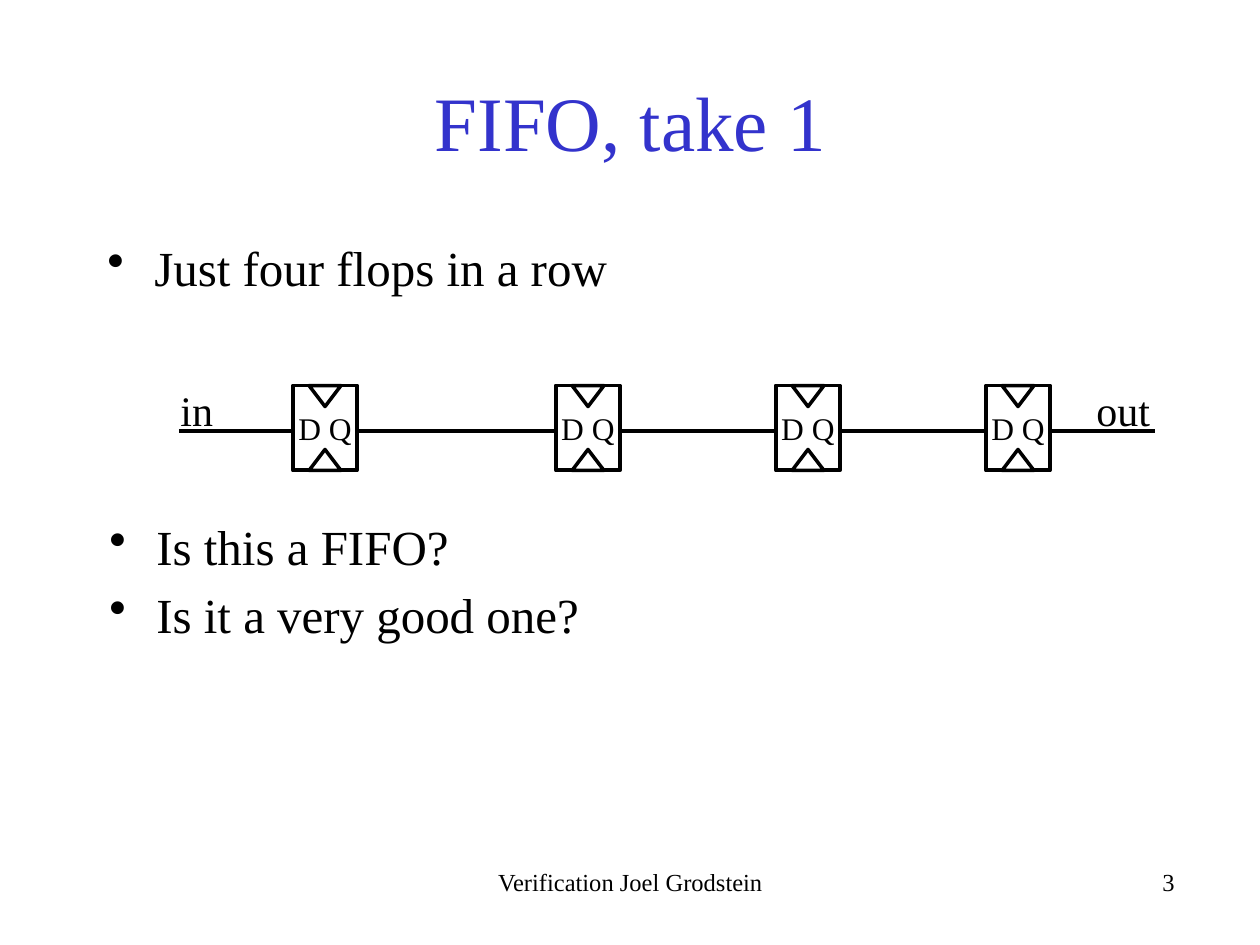
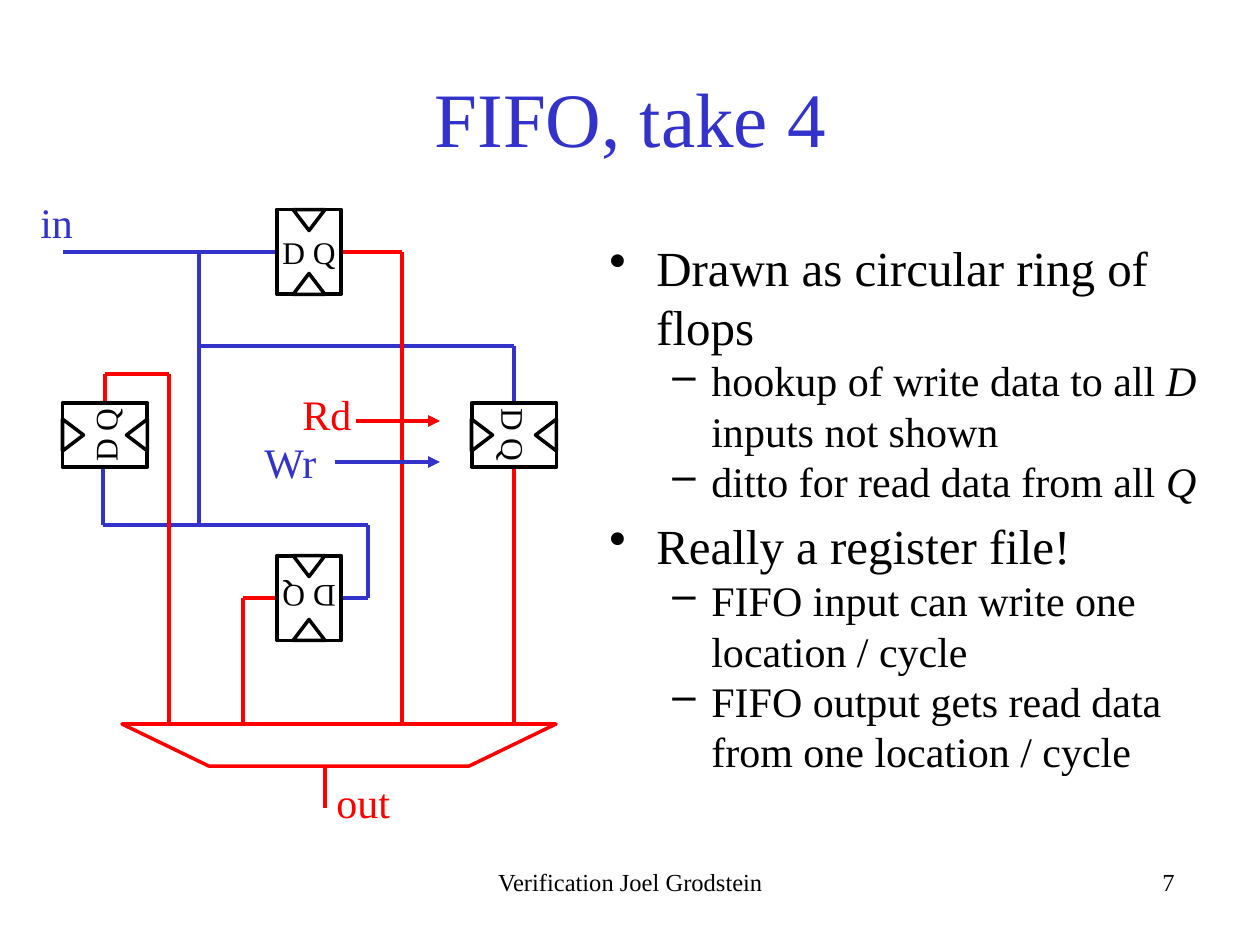
from dataclasses import dataclass
from itertools import pairwise
from math import cos, radians, sin

from lxml import etree
from pptx import Presentation
from pptx.dml.color import RGBColor
from pptx.enum.shapes import MSO_CONNECTOR, MSO_SHAPE
from pptx.enum.text import MSO_ANCHOR, PP_ALIGN
from pptx.oxml.ns import qn
from pptx.util import Emu, Pt

LEFT, MID, RIGHT = PP_ALIGN.LEFT, PP_ALIGN.CENTER, PP_ALIGN.RIGHT
TOP, CENTRE = MSO_ANCHOR.TOP, MSO_ANCHOR.MIDDLE
RECT, TRI = MSO_SHAPE.RECTANGLE, MSO_SHAPE.ISOSCELES_TRIANGLE
MUX = MSO_SHAPE.FLOWCHART_MANUAL_OPERATION
STRAIGHT = MSO_CONNECTOR.STRAIGHT
DPI = 126


@dataclass(frozen=True)
class Theme:
    font: str = "Times New Roman"
    ink: str = "000000"
    paper: str = "FFFFFF"
    blue: str = "3333CC"
    red: str = "FF0000"
    title: int = 44
    label: int = 24
    pin: int = 18
    foot: int = 14
    wire: float = 2.25
    edge: float = 2


T = Theme()
# Bullet levels: mark, type size, left margin, hanging indent, space before
LEVELS = (("•", 28, 47, 47, 5.6), ("–", 24, 102, 39, 0))
FOOTER = "Verification Joel Grodstein"
FLOP = (64, 85)
NOTCH = (32, 21)

# Text between asterisks is italic; the number before a line is its level.
SLIDES = [
    dict(
        title="FIFO, take 1", top=42, number="3",
        lists=[
            ((95, 231, 1071, 95), [(0, "Just four flops in a row")]),
            ((97, 510, 639, 171),
             [(0, "Is this a FIFO?"), (0, "Is it a very good one?")]),
        ],
        wires=[(T.ink, [(179, 431), (1155, 431)])],
        flops=[(x, 428, 0) for x in (325, 588, 808, 1018)],
        labels=[("in", T.ink, (168, 378, 84, 63)),
                ("out", T.ink, (1084, 378, 84, 63))],
    ),
    dict(
        title="FIFO, take 4", top=38, number="7",
        lists=[
            ((597, 231, 620, 420), [
                (0, "Drawn as circular ring of flops"),
                (1, "hookup of write data to all *D* inputs not shown"),
                (1, "ditto for read data from all *Q*"),
                (0, "Really a register file!"),
                (1, "FIFO input can write one location / cycle"),
                (1, "FIFO output gets read data from one location / cycle"),
            ]),
        ],
        wires=[
            (T.blue, [(63, 252), (277, 252)]),
            (T.blue, [(199, 252), (199, 525)]),
            (T.blue, [(103, 467), (103, 525), (368, 525), (368, 598), (341, 598)]),
            (T.blue, [(199, 346), (514, 346), (514, 403)]),
            (T.red, [(514, 467), (514, 724)]),
            (T.red, [(277, 598), (243, 598), (243, 724)]),
            (T.red, [(105, 403), (105, 374), (169, 374), (169, 724)]),
            (T.red, [(341, 252), (402, 252), (402, 724)]),
            (T.red, [(325, 766), (325, 808)]),
        ],
        flops=[(309, 252, 0), (514, 435, 90), (309, 598, 180), (105, 435, 270)],
        arrows=[(T.red, [(356, 421), (440, 421)]),
                (T.blue, [(335, 462), (440, 462)])],
        mux=(122, 724, 434, 42),
        labels=[("Rd", T.red, (290, 382, 101, 63)),
                ("Wr", T.blue, (252, 430, 105, 63)),
                ("in", T.blue, (28, 190, 76, 63)),
                ("out", T.red, (324, 770, 97, 63))],
    ),
]


def px(n):
    return Emu(round(n * 914400 / DPI))


def rgb(code):
    return RGBColor.from_string(code)


def bullet(para, level):
    mark, _, margin, hang, space = LEVELS[level]
    para.space_before = Pt(space)
    props = para._p.get_or_add_pPr()
    props.set("marL", str(px(margin)))
    props.set("indent", str(-px(hang)))
    etree.SubElement(props, qn("a:buChar"), char=mark)


def write(frame, text, size=T.label, color=T.ink, align=LEFT, anchor=TOP,
          inset=None, level=None, more=False):
    """Fill the frame, or add one paragraph to it when more is set."""
    frame.word_wrap = True
    frame.vertical_anchor = anchor
    if inset is not None:
        frame.margin_left = frame.margin_right = px(inset)
        frame.margin_top = frame.margin_bottom = px(inset)
    para = frame.add_paragraph() if more else frame.paragraphs[0]
    para.alignment = align
    if level is not None:
        bullet(para, level)
        size = LEVELS[level][1]
    for i, part in enumerate(text.split("*")):
        if part:
            run = para.add_run()
            run.text = part
            font = run.font
            font.name, font.size, font.italic = T.font, Pt(size), i % 2 == 1
            font.color.rgb = rgb(color)


def box(slide, spot):
    return slide.shapes.add_textbox(*map(px, spot)).text_frame


def shape(slide, kind, spot, color=T.ink, width=T.edge, turn=0):
    item = slide.shapes.add_shape(kind, *map(px, spot))
    item.shadow.inherit = False
    item.fill.solid()
    item.fill.fore_color.rgb = rgb(T.paper)
    item.line.color.rgb = rgb(color)
    item.line.width = Pt(width)
    item.rotation = turn
    return item


def around(x, y, size):
    """Give the place of a part of this size centred on x, y."""
    w, h = size
    return x - w / 2, y - h / 2, w, h


def flop(slide, x, y, turn):
    body = shape(slide, RECT, around(x, y, FLOP), width=T.wire, turn=turn)
    write(body.text_frame, "D Q", size=T.pin, align=MID, anchor=CENTRE, inset=0)
    reach = (FLOP[1] - NOTCH[1]) / 2
    for side in (turn, turn + 180):
        a = radians(side)
        spot = around(x - reach * sin(a), y + reach * cos(a), NOTCH)
        shape(slide, TRI, spot, turn=side % 360)


def wire(slide, color, points, head=False):
    for start, end in pairwise(points):
        line = slide.shapes.add_connector(STRAIGHT, *map(px, start + end))
        line.line.color.rgb = rgb(color)
        line.line.width = Pt(T.wire)
        if head:
            etree.SubElement(line.line._get_or_add_ln(), qn("a:tailEnd"),
                             type="triangle")
        etree.SubElement(line._element.spPr, qn("a:effectLst"))


def build(deck, data):
    slide = deck.slides.add_slide(deck.slide_layouts[5])
    title = slide.shapes.title
    title.left, title.top, title.width, title.height = map(
        px, (95, data["top"], 1071, 158))
    write(title.text_frame, data["title"], size=T.title, color=T.blue,
          align=MID, anchor=CENTRE)
    write(box(slide, (431, 861, 399, 63)), FOOTER, size=T.foot, align=MID)
    write(box(slide, (788, 861, 399, 63)), data["number"], size=T.foot,
          align=RIGHT)
    for spot, items in data["lists"]:
        frame = box(slide, spot)
        for i, (level, text) in enumerate(items):
            write(frame, text, level=level, more=i > 0)
    for color, points in data["wires"]:
        wire(slide, color, points)
    for x, y, turn in data["flops"]:
        flop(slide, x, y, turn)
    for color, points in data.get("arrows", []):
        wire(slide, color, points, head=True)
    if "mux" in data:
        shape(slide, MUX, data["mux"], color=T.red)
    for text, color, spot in data["labels"]:
        write(box(slide, spot), text, color=color)


def main():
    deck = Presentation()
    deck.slide_width, deck.slide_height = px(1260), px(945)
    for data in SLIDES:
        build(deck, data)
    deck.save("out.pptx")


if __name__ == "__main__":
    main()
